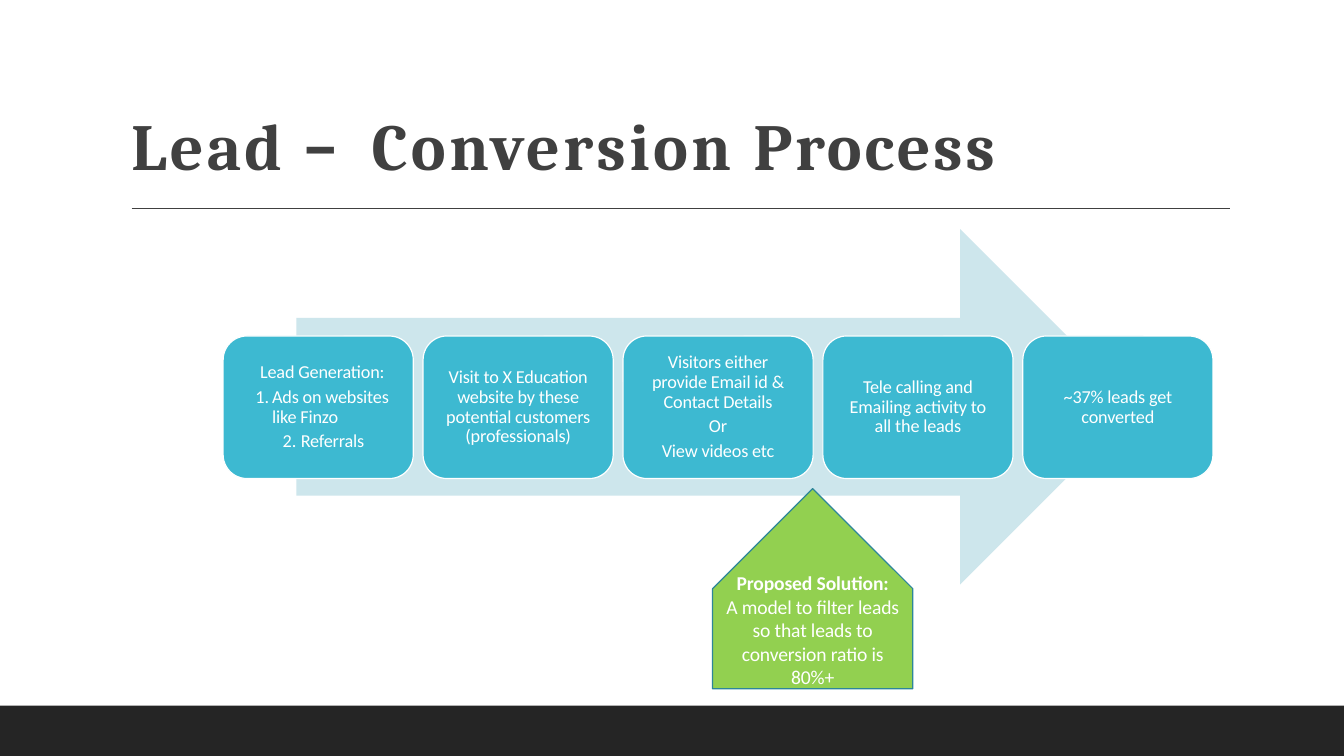
from pptx import Presentation
from pptx.dml.color import RGBColor
from pptx.enum.shapes import MSO_CONNECTOR, MSO_SHAPE
from pptx.enum.text import MSO_ANCHOR, PP_ALIGN
from pptx.oxml.ns import qn
from pptx.util import Pt
from lxml import etree


def color(value):
    return RGBColor.from_string(value)


class SlideBuilder:
    body_font, title_font = "Calibri", "Cambria"
    ink, white = "404040", "FFFFFF"

    def __init__(self, slide):
        self.slide = slide
        self.shapes = slide.shapes

    def paint(self, shape, fill, line=None):
        shape.shadow.inherit = False
        shape.fill.solid()
        shape.fill.fore_color.rgb = color(fill)
        if line:
            shape.line.color.rgb = color(line)
            shape.line.width = Pt(0.85)
        else:
            shape.line.fill.background()
        return shape

    def block(self, preset, left, top, width, height, fill, line=None):
        shape = self.shapes.add_shape(preset, Pt(left), Pt(top), Pt(width), Pt(height))
        return self.paint(shape, fill, line)

    def outline(self, points, fill, line):
        (x, y), *others = points
        pen = self.shapes.build_freeform(Pt(x), Pt(y))
        pen.add_line_segments([(Pt(px), Pt(py)) for px, py in others])
        return self.paint(pen.convert_to_shape(), fill, line)

    def rule(self, left, right, y):
        rule = self.shapes.add_connector(
            MSO_CONNECTOR.STRAIGHT, Pt(left), Pt(y), Pt(right), Pt(y))
        rule.line.color.rgb = color(self.ink)
        rule.line.width = Pt(1)
        etree.SubElement(rule._element.spPr, qn("a:effectLst"))

    def frame(self, shape, anchor, side=0):
        frame = shape.text_frame
        frame.word_wrap = True
        frame.vertical_anchor = anchor
        frame.margin_left = frame.margin_right = Pt(side)
        frame.margin_top = frame.margin_bottom = 0
        return frame

    def style(self, run, size, font, ink, bold=False, spacing=0):
        run.font.size = Pt(size)
        run.font.name = font
        run.font.bold = bold
        run.font.color.rgb = color(ink)
        run._r.get_or_add_rPr().set("spc", str(round(spacing * 100)))

    def title(self, left, top, width, height, pieces):
        box = self.shapes.add_textbox(Pt(left), Pt(top), Pt(width), Pt(height))
        heading = self.frame(box, MSO_ANCHOR.TOP).paragraphs[0]
        for text, font, spacing in pieces:
            run = heading.add_run()
            run.text = text
            self.style(run, 47, font, self.ink, True, spacing)

    def text(self, shape, lines, size, anchor=MSO_ANCHOR.MIDDLE, side=0,
             spacing=1.0, gap=0, bold_first=False):
        frame = self.frame(shape, anchor, side)
        frame.text = "\n".join(lines)
        for index, paragraph in enumerate(frame.paragraphs):
            paragraph.alignment = PP_ALIGN.CENTER
            paragraph.line_spacing = spacing
            paragraph.space_before = Pt(gap if index else 0)
            for run in paragraph.runs:
                self.style(run, size, self.body_font, self.white,
                           bold_first and index == 0, -0.1)
        return frame

    def indent(self, paragraph, left, hanging=0, numbered=False):
        paragraph.alignment = PP_ALIGN.LEFT
        properties = paragraph._p.get_or_add_pPr()
        properties.set("marL", str(Pt(left)))
        properties.set("indent", str(-Pt(hanging)))
        if numbered:
            etree.SubElement(properties, qn("a:buAutoNum"), type="arabicPeriod")


STEPS = [
    ["Lead Generation:", "Ads on websites\vlike Finzo", "Referrals"],
    ["Visit to X Education\vwebsite by these\vpotential customers\v(professionals)"],
    ["Visitors either\vprovide Email id &\vContact Details", "Or", "View videos etc"],
    ["Tele calling and\vEmailing activity to\vall the leads"],
    ["~37% leads get\vconverted"],
]
STEP_LEFT, STEP_TOP, STEP_WIDTH, STEP_HEIGHT, STEP_PITCH = 159.4, 240, 135.8, 101.8, 142.8


def main():
    deck = Presentation()
    deck.slide_width, deck.slide_height = Pt(960), Pt(540)
    builder = SlideBuilder(deck.slides.add_slide(deck.slide_layouts[6]))

    # Footer band, title and rule
    builder.block(MSO_SHAPE.RECTANGLE, 0, 504, 960, 36, "252525")
    builder.title(93.6, 75, 760, 58, [
        ("Lead ", builder.title_font, 2.3), ("– ", "Karla", 6.2),
        ("Conversion ", builder.title_font, 2.5), ("Process", builder.title_font, 2.1)])
    builder.rule(94, 878.5, 149)

    # Process arrow with its steps
    builder.block(MSO_SHAPE.RIGHT_ARROW, 211.8, 163.6, 601, 254, "CDE6EC")
    frames = []
    for index, lines in enumerate(STEPS):
        step = builder.block(MSO_SHAPE.ROUNDED_RECTANGLE, STEP_LEFT + index * STEP_PITCH,
                             STEP_TOP, STEP_WIDTH, STEP_HEIGHT, "3DB9D1", builder.white)
        frames.append(builder.text(step, lines, 13, side=8, spacing=0.9, gap=3.5))

    # Numbered lead sources in the first step
    heading, ads, referrals = frames[0].paragraphs
    builder.indent(heading, 13.5)
    builder.indent(ads, 22, 12, numbered=True)
    builder.indent(referrals, 42.5, 13, numbered=True)

    # Proposed solution, pointing up at the process
    left, top, width, height = 509, 349, 143, 143
    right, middle, eaves, bottom = left + width, left + width / 2, top + height / 2, top + height
    solution = builder.outline(
        [(middle, top), (right, eaves), (right, bottom), (left, bottom), (left, eaves)],
        "92D050", "2D8699")
    builder.text(solution, [
        "Proposed Solution:",
        "A model to filter leads\vso that leads to\vconversion ratio is\v80%+",
    ], 14, anchor=MSO_ANCHOR.BOTTOM, bold_first=True)

    deck.save("out.pptx")


if __name__ == "__main__":
    main()
